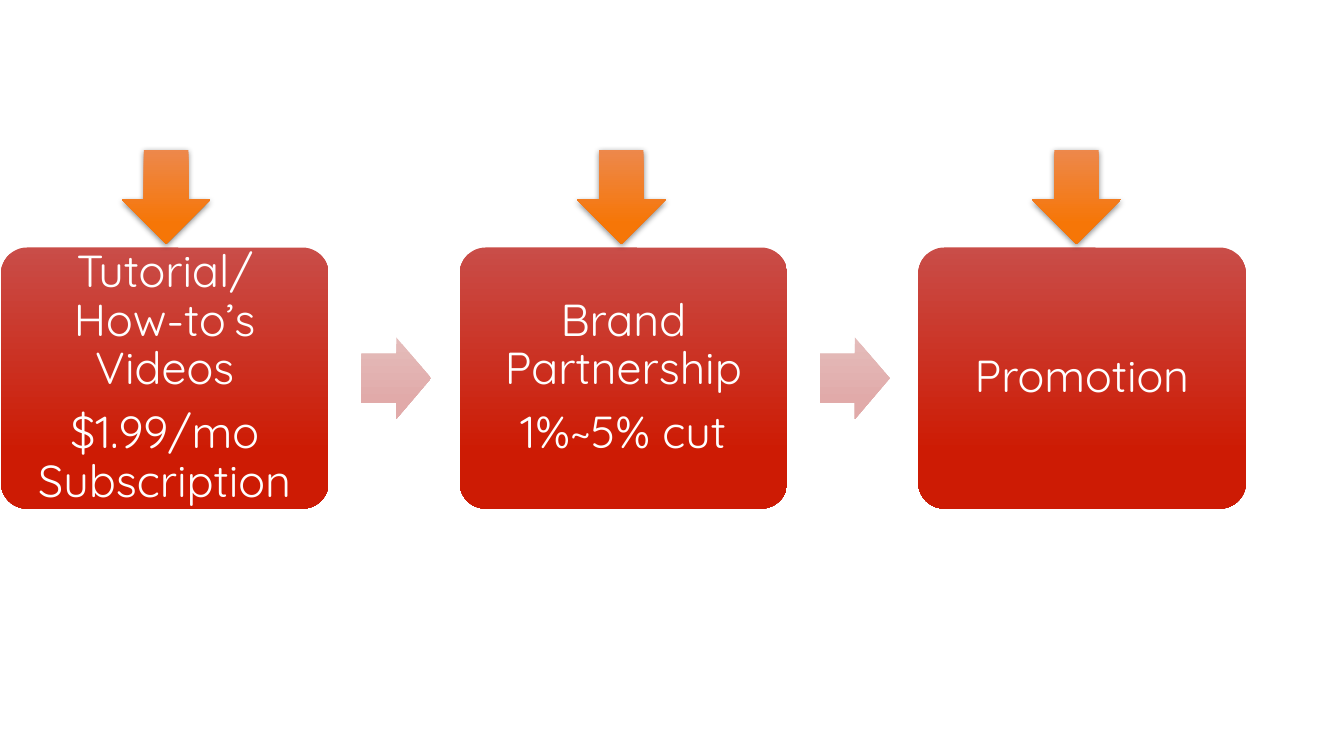
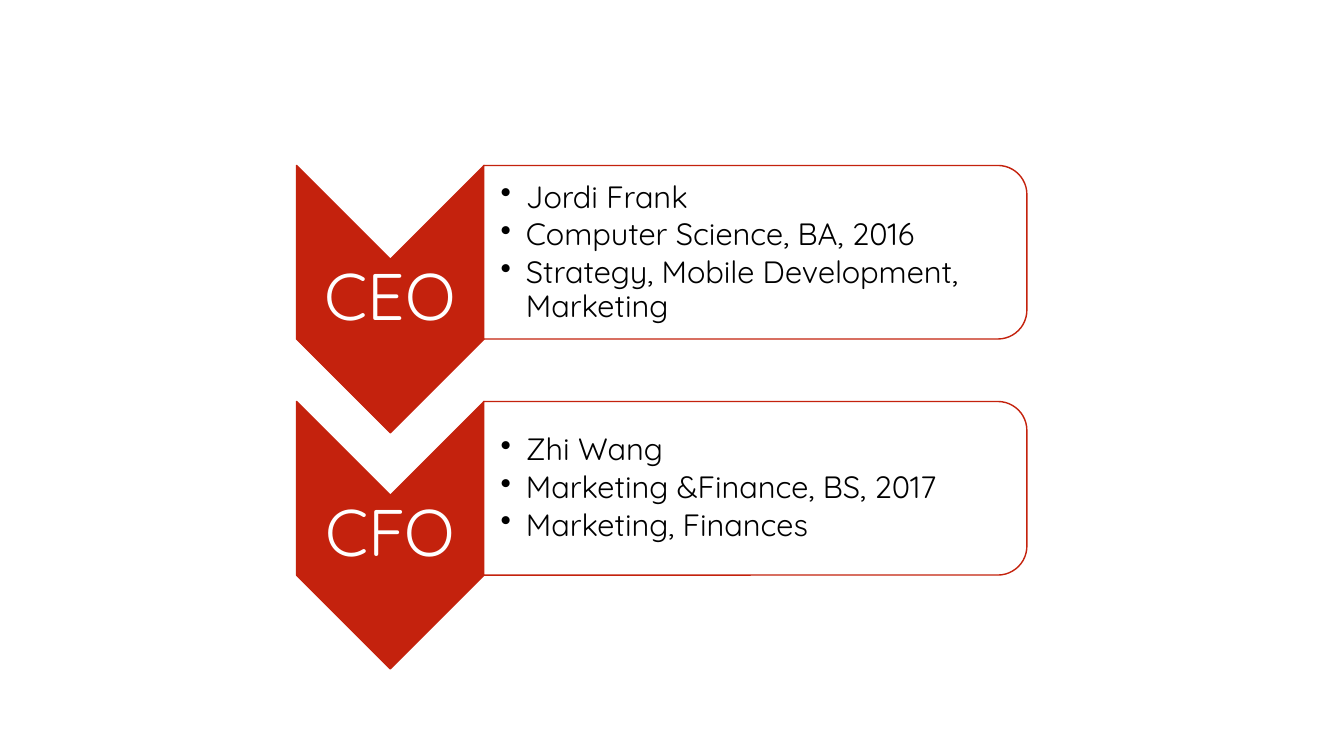
from lxml import etree
from pptx import Presentation
from pptx.dml.color import RGBColor
from pptx.enum.shapes import MSO_SHAPE
from pptx.enum.text import MSO_ANCHOR, PP_ALIGN
from pptx.oxml.ns import qn
from pptx.util import Pt

ROUNDED = MSO_SHAPE.ROUNDED_RECTANGLE
RIGHT_ARROW = MSO_SHAPE.RIGHT_ARROW
DOWN_ARROW = MSO_SHAPE.DOWN_ARROW
CHEVRON = MSO_SHAPE.CHEVRON
PANEL = MSO_SHAPE.ROUND_2_SAME_RECTANGLE
MIDDLE = MSO_ANCHOR.MIDDLE
CENTER = PP_ALIGN.CENTER
LEFT = PP_ALIGN.LEFT

FONT = "Quicksand"
COLORS = {
    "white": "FFFFFF",
    "black": "000000",
    "red": "C4220D",
    "box": ("C94D48", "CD1B04"),
    "link": ("E4BCBB", "E1AAA9"),
    "pointer": ("ED884B", "F67607"),
}


def add_shape(slide, kind, left, top, width, height, fill, line=None):
    shape = slide.shapes.add_shape(kind, Pt(left), Pt(top), Pt(width), Pt(height))
    shape.shadow.inherit = False
    if isinstance(COLORS[fill], tuple):
        shape.fill.gradient()
        shape.fill.gradient_angle = 270
        for stop, color, position in zip(shape.fill.gradient_stops, COLORS[fill], (0, 0.78)):
            stop.color.rgb = RGBColor.from_string(color)
            stop.position = position
    else:
        shape.fill.solid()
        shape.fill.fore_color.rgb = RGBColor.from_string(COLORS[fill])
    if line:
        shape.line.color.rgb = RGBColor.from_string(COLORS[line])
        shape.line.width = Pt(1)
    else:
        shape.line.fill.background()
    return shape


def write_text(shape, lines, size, color, margin, space_after, bullets=False):
    frame = shape.text_frame
    frame.word_wrap = True
    frame.vertical_anchor = MIDDLE
    frame.margin_left = Pt(12) if bullets else Pt(margin)
    frame.margin_top = frame.margin_right = frame.margin_bottom = Pt(margin)
    for index, line in enumerate(lines):
        paragraph = frame.add_paragraph() if index else frame.paragraphs[0]
        if bullets:
            properties = paragraph._p.get_or_add_pPr()
            properties.set("marL", str(Pt(18)))
            properties.set("indent", str(-Pt(18)))
            etree.SubElement(properties, qn("a:buChar")).set("char", "•")
        paragraph.alignment = LEFT if bullets else CENTER
        paragraph.line_spacing = 0.9
        paragraph.space_after = Pt(space_after)
        run = paragraph.add_run()
        run.text = line
        run.font.name = FONT
        run.font.size = Pt(size)
        run.font.color.rgb = RGBColor.from_string(COLORS[color])


presentation = Presentation()
presentation.slide_width = Pt(960)
presentation.slide_height = Pt(540)
blank_layout = presentation.slide_layouts[6]

revenue_slide = presentation.slides.add_slide(blank_layout)
revenue_streams = [
    ["Tutorial/How-to’s Videos", "$1.99/mo Subscription"],
    ["Brand Partnership", "1%~5% cut"],
    ["Promotion"],
]
BOX_PITCH = 327.6
POINTER_PITCH = 325.1

for index, lines in enumerate(revenue_streams):
    box_left = 0.7 + index * BOX_PITCH
    box = add_shape(revenue_slide, ROUNDED, box_left, 176.8, 234, 186.5, "box")
    box.adjustments[0] = 0.1
    write_text(box, lines, 32, "white", 9.6, 11.2)
    if index < len(revenue_streams) - 1:
        link = add_shape(revenue_slide, RIGHT_ARROW, box_left + 257.5, 241, 49.7, 58.3, "link")
        link.adjustments[0] = 0.6
        link.adjustments[1] = 0.5

for index in range(len(revenue_streams)):
    pointer = add_shape(
        revenue_slide, DOWN_ARROW, 87 + index * POINTER_PITCH, 107.3, 63.4, 67, "pointer")
    effects = pointer._element.spPr.find(qn("a:effectLst"))
    shadow = etree.SubElement(effects, qn("a:outerShdw"))
    shadow.set("blurRad", str(Pt(4.5)))
    shadow.set("dist", str(Pt(1.5)))
    shadow.set("dir", "5400000")
    shadow.set("rotWithShape", "0")
    shadow_color = etree.SubElement(shadow, qn("a:srgbClr"))
    shadow_color.set("val", COLORS["black"])
    etree.SubElement(shadow_color, qn("a:alpha")).set("val", "48000")

team_slide = presentation.slides.add_slide(blank_layout)
team = [
    ("CEO", ["Jordi Frank", "Computer Science, BA, 2016",
             "Strategy, Mobile Development, Marketing"]),
    ("CFO", ["Zhi Wang", "Marketing &Finance, BS, 2017", "Marketing, Finances"]),
]
ROW_PITCH = 168.6

for index, (role, details) in enumerate(team):
    offset = index * ROW_PITCH
    chevron = add_shape(team_slide, CHEVRON, 183.3, 146.7, 191, 134, "red", "red")
    panel = add_shape(team_slide, PANEL, 477.5, -13.8, 124, 388, "white", "red")
    for shape in (chevron, panel):
        shape.rotation = 90
        shape.top += Pt(offset)
    label = team_slide.shapes.add_textbox(Pt(211.8), Pt(185 + offset), Pt(134), Pt(57.5))
    write_text(label, [role], 47, "white", 2.2, 16.4)
    body = team_slide.shapes.add_textbox(Pt(345.7), Pt(124.4 + offset), Pt(382), Pt(112))
    write_text(body, details, 22, "black", 1.4, 3.3, bullets=True)

presentation.save("out.pptx")
